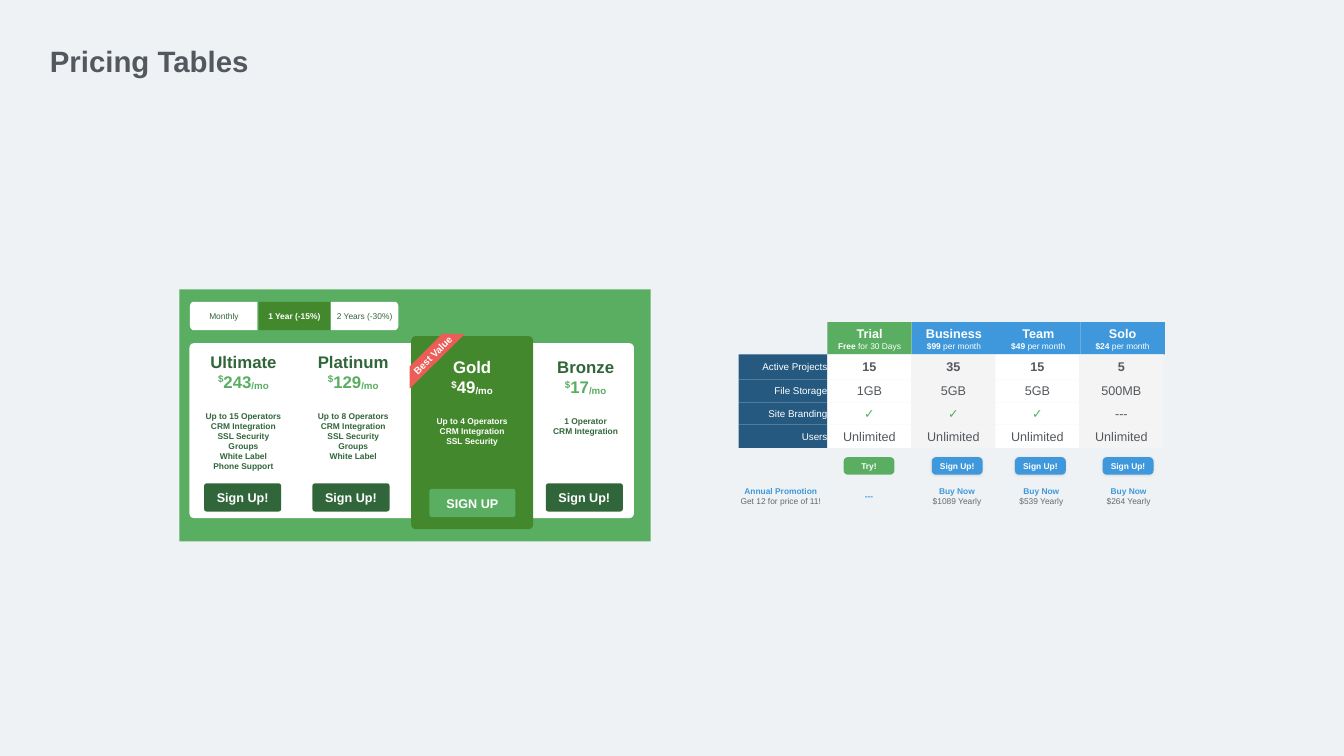
import math
import lxml.etree
import pptx
import pptx.dml.color
import pptx.enum.shapes
import pptx.enum.text
import pptx.oxml.ns
import pptx.util

Pt = pptx.util.Pt
SHAPE = pptx.enum.shapes.MSO_SHAPE
ALIGN = pptx.enum.text.PP_ALIGN
ANCHOR = pptx.enum.text.MSO_ANCHOR
qn = pptx.oxml.ns.qn

GREEN, MOSS, FOREST = "59AE62", "44882D", "31663A"
BLUE, NAVY, RED = "3F98DB", "255980", "EC5D57"
WHITE, PALE, GREY, DIM = "FFFFFF", "F4F4F4", "53585F", "676867"


def rgb(value):
    return pptx.dml.color.RGBColor.from_string(value)


def run(text, size=12, color=WHITE, bold=False, base=0, before=0):
    return dict(text=text, size=size, color=color, bold=bold, base=base, before=before)


class Deck:
    font = "Arial"

    def __init__(self, width, height, background):
        self.prs = pptx.Presentation()
        self.prs.slide_width, self.prs.slide_height = Pt(width), Pt(height)
        self.s = self.prs.slides.add_slide(self.prs.slide_layouts[6])
        self.s.background.fill.solid()
        self.s.background.fill.fore_color.rgb = rgb(background)

    def paint(self, sp, fill):
        sp.shadow.inherit = False
        sp.fill.solid()
        sp.fill.fore_color.rgb = rgb(fill)
        sp.line.fill.background()
        return sp

    def fill_text(self, sp, lines, align=ALIGN.CENTER, anchor=ANCHOR.MIDDLE, wrap=True, inset=0, top=None):
        tf = sp.text_frame
        tf.word_wrap = wrap
        tf.vertical_anchor = anchor
        tf.margin_left = tf.margin_right = tf.margin_bottom = Pt(inset)
        tf.margin_top = Pt(inset if top is None else top)
        for i, runs in enumerate(lines):
            p = tf.add_paragraph() if i else tf.paragraphs[0]
            p.alignment = align
            if runs[0]["before"]:
                p.space_before = Pt(runs[0]["before"])
            for item in runs:
                r = p.add_run()
                r.text = item["text"]
                r.font.name = self.font
                r.font.size = Pt(item["size"])
                r.font.bold = item["bold"]
                r.font.color.rgb = rgb(item["color"])
                if item["base"]:
                    r.font._element.set("baseline", str(item["base"] * 1000))
        return sp

    def box(self, x, y, w, h, fill, lines=(), radius=None, **layout):
        kind = SHAPE.RECTANGLE if radius is None else SHAPE.ROUNDED_RECTANGLE
        sp = self.s.shapes.add_shape(kind, Pt(x), Pt(y), Pt(w), Pt(h))
        if radius is not None:
            sp.adjustments[0] = radius
        return self.fill_text(self.paint(sp, fill), lines, **layout)

    def text(self, x, y, w, h, lines, **layout):
        sp = self.s.shapes.add_textbox(Pt(x), Pt(y), Pt(w), Pt(h))
        return self.fill_text(sp, lines, **layout)

    def outline(self, points, fill):
        points = [(Pt(x), Pt(y)) for x, y in points]
        builder = self.s.shapes.build_freeform(*points[0])
        builder.add_line_segments(points[1:], close=True)
        return self.paint(builder.convert_to_shape(), fill)

    def drop_shadow(self, sp):
        effects = sp._element.spPr.find(qn("a:effectLst"))
        shadow = lxml.etree.SubElement(effects, qn("a:outerShdw"), blurRad=str(Pt(3)),
                                       dist=str(Pt(1)), dir="5400000", rotWithShape="0")
        color = lxml.etree.SubElement(shadow, qn("a:srgbClr"), val="D2D2D2")
        lxml.etree.SubElement(color, qn("a:alpha"), val="75000")


def plan_lines(name, price, features, name_color, price_color):
    lines = [[run(name, 24, name_color, True)],
             [run("$", 24, price_color, True, 32), run(price, 24, price_color, True),
              run("/mo", 24, price_color, True, -6)]]
    for i, feature in enumerate(features):
        lines.append([run(feature, 12, name_color, True, before=0 if i else 27.6)])
    return lines


def draw_billing_tabs(deck):
    left, right, top, bottom = 271.4, 569.2, 431.3, 471.6
    rx, ry, width = 5, 7, 96.5
    angles = [math.radians(a) for a in range(0, 91, 15)]
    tab = [(left + width, bottom)]
    tab += [(left + rx - rx * math.sin(a), bottom - ry + ry * math.cos(a)) for a in angles]
    tab += [(left + rx - rx * math.cos(a), top + ry - ry * math.sin(a)) for a in angles]
    tab.append((left + width, top))
    deck.outline(tab, WHITE)
    deck.outline([(left + right - x, y) for x, y in tab], WHITE)
    deck.box(369.4, top, 102.2, bottom - top, MOSS, radius=0)
    for x, w, label, color, bold in ((271.4, 97.2, "Monthly", FOREST, False),
                                     (369.4, 102.2, "1 Year (-15%)", WHITE, True),
                                     (474.5, 92.9, "2 Years (-30%)", FOREST, False)):
        deck.text(x, 444.4, w, 14, [[run(label, 12, color, bold)]])


def draw_plans(deck):
    deck.box(256.3, 413.3, 673.2, 360, GREEN)
    draw_billing_tabs(deck)
    deck.box(270.7, 490.3, 635, 249.8, WHITE, radius=0.025)
    features = ["CRM Integration", "SSL Security", "Groups", "White Label", "Phone Support"]
    deck.box(587.5, 480.2, 174.2, 275.8, MOSS,
             plan_lines("Gold", "49", ["Up to 4 Operators"] + features[:2], WHITE, WHITE),
             radius=0.037, anchor=ANCHOR.TOP, top=27.6)
    deck.box(613.4, 698.4, 123.1, 40.3, GREEN, [[run("SIGN UP", 18, bold=True)]], radius=0.095)
    plans = (("Ultimate", "243", ["Up to 15 Operators"] + features, (287.3, 495.4, 121, 184.3), 291.6),
             ("Platinum", "129", ["Up to 8 Operators"] + features[:4], (446.4, 495.4, 116.6, 169.9), 446.4),
             ("Bronze", "17", ["1 Operator"] + features[:1], (783.4, 496.8, 106.6, 139.7), 779.8))
    for name, price, items, place, button_x in plans:
        deck.text(*place, plan_lines(name, price, items, FOREST, GREEN), wrap=False)
        deck.box(button_x, 690.5, 110.2, 40.3, FOREST, [[run("Sign Up!", 18, bold=True)]], radius=0.095)
    deck.outline([(632.2, 476.6), (585.4, 523.4), (585.4, 555.1), (663.8, 477.4)], RED)
    ribbon = deck.text(565.2, 490.3, 105.8, 33.8, [[run("Best Value", 14, bold=True)]])
    ribbon.rotation = 315


def draw_comparison(deck):
    left, top, pitch = 1182.2, 506.2, 120
    heights = (36, 32.6, 32, 33)
    tops = [top + sum(heights[:i]) for i in range(len(heights))]
    labels = ("Active Projects", "File Storage", "Site Branding", "Users")
    for y, h, label in zip(tops, heights, labels):
        deck.box(1055.5, y, 126.7, h, NAVY, [[run(label, 14)]], align=ALIGN.RIGHT)
    columns = (("Trial", "Free", " for 30 Days", ("15", "1GB", "✓", "Unlimited")),
               ("Business", "$99", " per month", ("35", "5GB", "✓", "Unlimited")),
               ("Team", "$49", " per month", ("15", "5GB", "✓", "Unlimited")),
               ("Solo", "$24", " per month", ("5", "500MB", "---", "Unlimited")))
    for i, (name, price, term, values) in enumerate(columns):
        deck.box(left + 120.5 * i, 460.1, 120.5, 46.1, BLUE if i else GREEN,
                 [[run(name, 18, bold=True)], [run(price, bold=True), run(term)]])
        for row, (y, h, value) in enumerate(zip(tops, heights, values)):
            check = value == "✓"
            deck.box(left + pitch * i, y, pitch, h, PALE if i % 2 else WHITE,
                     [[run(value, 18, GREEN if check else GREY, check or row == 0)]])


def draw_offers(deck):
    for x, label, fill in ((1205.3, "Try!", GREEN), (1331.3, "Sign Up!", BLUE),
                           (1450.1, "Sign Up!", BLUE), (1575.4, "Sign Up!", BLUE)):
        sp = deck.box(x, 653, 72.7, 25.2, fill, [[run(label, bold=True)]], radius=0.246)
        if fill == BLUE:
            deck.drop_shadow(sp)
    for x, w, title, detail in ((1052.6, 126, "Annual Promotion", "Get 12 for price of 11!"),
                                (1228.3, 26.6, "---", None),
                                (1328.4, 77.8, "Buy Now", "$1089 Yearly"),
                                (1452.2, 71.3, "Buy Now", "$539 Yearly"),
                                (1576.8, 71.3, "Buy Now", "$264 Yearly")):
        lines = [[run(title, 12, BLUE, True)]]
        if detail:
            lines.append([run(detail, 12, DIM)])
        deck.text(x, 689.8, w, 36.7, lines, wrap=False)


def main():
    deck = Deck(1920.24, 1080, "EFF2F4")
    draw_plans(deck)
    deck.text(67, 56.9, 293, 58.3, [[run("Pricing Tables", 42, GREY, True)]],
              align=ALIGN.LEFT, wrap=False, inset=4.3)
    draw_comparison(deck)
    draw_offers(deck)
    deck.prs.save("out.pptx")


if __name__ == "__main__":
    main()
